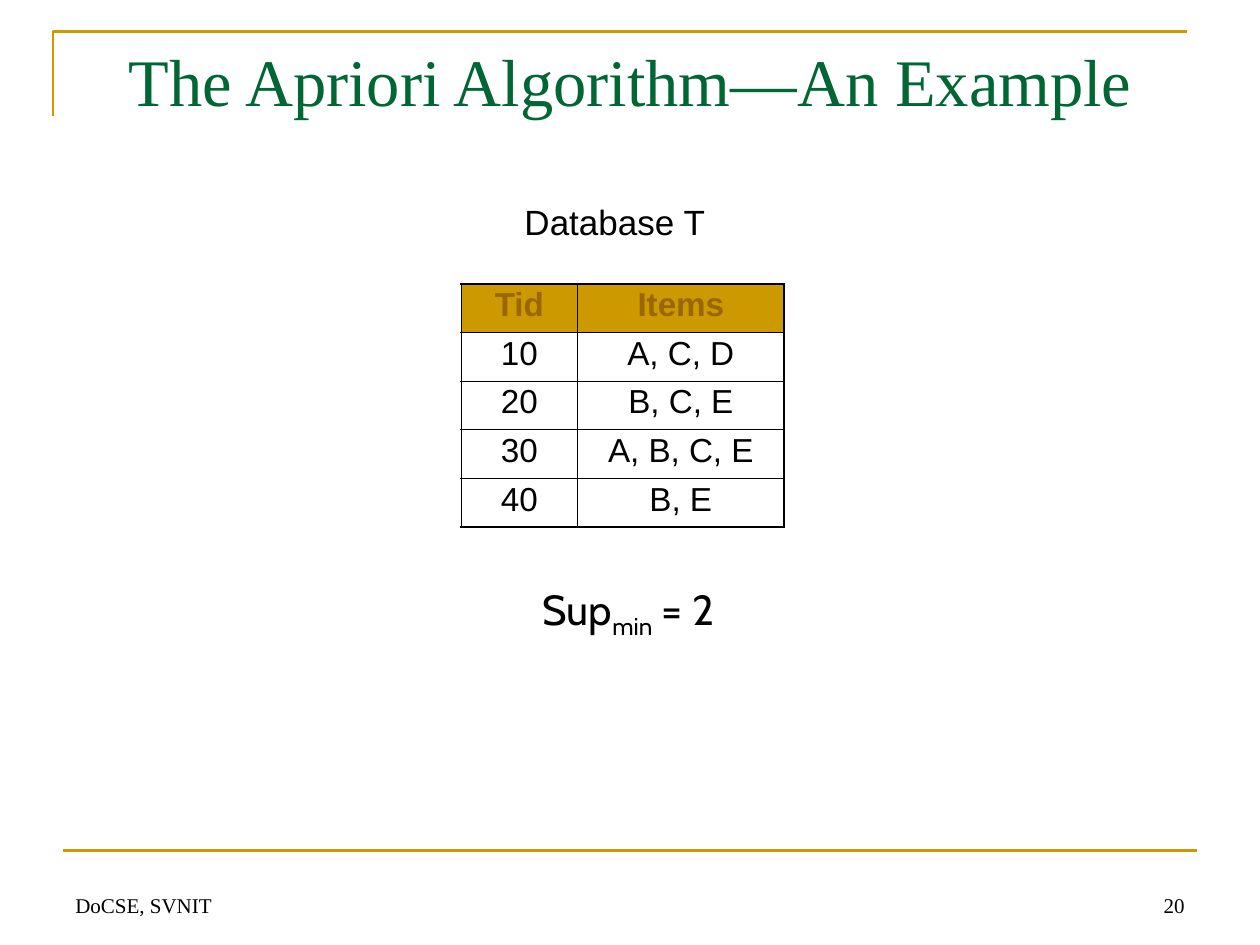
"""Builds the slide that introduces the Apriori algorithm example."""
from lxml import etree
from pptx import Presentation
from pptx import util as u
from pptx.dml.color import RGBColor
from pptx.enum import shapes, text
from pptx.oxml.ns import qn

GOLD = RGBColor(0xCC, 0x99, 0x00)
BROWN = RGBColor(0x99, 0x66, 0x00)
GREEN = RGBColor(0x00, 0x66, 0x33)
BLACK = RGBColor(0x00, 0x00, 0x00)

LEFT, CENTER, RIGHT = text.PP_ALIGN.LEFT, text.PP_ALIGN.CENTER, text.PP_ALIGN.RIGHT
TOP, MIDDLE, BOTTOM = text.MSO_ANCHOR.TOP, text.MSO_ANCHOR.MIDDLE, text.MSO_ANCHOR.BOTTOM
SERIF = "Times New Roman"

TITLE = "The Apriori Algorithm—An Example"
TITLE_PLACE = (2.34, 0.84, 21.64, 1.7)
LABELS = [
    {"place": (1.27, 17.35, 15.44, 1.27), "runs": [("DoCSE, SVNIT", 0)],
     "font": {"name": SERIF, "size": u.Pt(12)}, "frame": {"vertical_anchor": BOTTOM}},
    {"place": (18.21, 17.35, 5.92, 1.27), "runs": [("20", 0)],
     "font": {"name": SERIF, "size": u.Pt(12)}, "frame": {"vertical_anchor": BOTTOM},
     "para": {"alignment": RIGHT}},
    {"place": (10.31, 3.91, 4.17, 1.12), "runs": [("Database T", 0)],
     "font": {"name": "Arial", "size": u.Pt(20)},
     "frame": {"vertical_anchor": MIDDLE, "word_wrap": False},
     "para": {"alignment": CENTER}},
    {"place": (10.69, 11.63, 4.88, 1.42), "runs": [("Sup", 0), ("min", -25000), (" = 2", 0)],
     "font": {"name": "Cabin", "size": u.Pt(24)}, "frame": {"vertical_anchor": TOP},
     "para": {"space_before": u.Pt(15)}},
]
TRANSACTIONS = [
    ("Tid", "Items"),
    ("10", "A, C, D"),
    ("20", "B, C, E"),
    ("30", "A, B, C, E"),
    ("40", "B, E"),
]
TABLE_CORNER = (9.3, 5.72)
COLUMN_WIDTHS = (2.34, 4.17)
ROW_HEIGHT = 0.98
THICK, THIN = u.Pt(1.08), u.Pt(0.45)
FRAME_CORNERS = [(1.07, 2.34), (1.07, 0.64), (23.93, 0.64)]
FOOTER_LINE = (1.27, 17.15, 24.13, 17.15)


def cm(values):
    return [u.Cm(value) for value in values]


def apply(target, values):
    for name, value in values.items():
        setattr(target, name, value)


def style_font(font, color, values):
    apply(font, values)
    font.color.rgb = color


def style_line(line):
    line.color.rgb = GOLD
    line.width = u.Pt(1.5)


def draw_rules(page):
    corners = [tuple(cm(corner)) for corner in FRAME_CORNERS]
    builder = page.shapes.build_freeform(*corners[0])
    builder.add_line_segments(corners[1:], close=False)
    corner_rule = builder.convert_to_shape()
    corner_rule.fill.background()
    corner_rule.shadow.inherit = False
    style_line(corner_rule.line)
    footer_rule = page.shapes.add_connector(shapes.MSO_CONNECTOR.STRAIGHT, *cm(FOOTER_LINE))
    style_line(footer_rule.line)
    etree.SubElement(footer_rule._element.spPr, qn("a:effectLst"))


def write_title(page):
    title = page.shapes.title
    apply(title, dict(zip(("left", "top", "width", "height"), cm(TITLE_PLACE))))
    frame = title.text_frame
    frame.text = TITLE
    apply(frame, {"vertical_anchor": BOTTOM, "word_wrap": True,
                  "auto_size": text.MSO_AUTO_SIZE.NONE})
    para = frame.paragraphs[0]
    para.alignment = LEFT
    style_font(para.runs[0].font, GREEN, {"name": SERIF, "size": u.Pt(38)})


def write_label(page, label):
    box = page.shapes.add_textbox(*cm(label["place"]))
    apply(box.text_frame, {"word_wrap": True, **label["frame"]})
    para = box.text_frame.paragraphs[0]
    apply(para, label.get("para", {}))
    for words, baseline in label["runs"]:
        span = para.add_run()
        span.text = words
        style_font(span.font, BLACK, label["font"])
        if baseline:
            span._r.get_or_add_rPr().set("baseline", str(baseline))


def set_borders(cell, top, bottom):
    properties = cell._tc.get_or_add_tcPr()
    for side, width in (("L", THICK), ("R", THICK), ("T", top), ("B", bottom)):
        line = etree.SubElement(properties, qn(f"a:ln{side}"), w=str(int(width)))
        fill = etree.SubElement(line, qn("a:solidFill"))
        etree.SubElement(fill, qn("a:srgbClr"), val=str(BLACK))


def draw_table(page):
    count = len(TRANSACTIONS)
    size = (sum(COLUMN_WIDTHS), ROW_HEIGHT * count)
    table = page.shapes.add_table(count, len(COLUMN_WIDTHS), *cm(TABLE_CORNER + size)).table
    apply(table, {"first_row": False, "horz_banding": False})
    for column, width in zip(table.columns, COLUMN_WIDTHS):
        column.width = u.Cm(width)
    for index, values in enumerate(TRANSACTIONS):
        header = index == 0
        top = THICK if index <= 1 else THIN
        bottom = THICK if header or index == count - 1 else THIN
        table.rows[index].height = u.Cm(ROW_HEIGHT)
        for cell, value in zip(table.rows[index].cells, values):
            set_borders(cell, top, bottom)
            if header:
                cell.fill.solid()
                cell.fill.fore_color.rgb = GOLD
            else:
                cell.fill.background()
            cell.text = value
            para = cell.text_frame.paragraphs[0]
            apply(para, {"alignment": CENTER, "line_spacing": 0.9, "space_before": u.Pt(4.8)})
            style_font(para.runs[0].font, BROWN if header else BLACK,
                       {"name": "Arial", "size": u.Pt(19), "bold": header})


def main():
    deck = Presentation()
    apply(deck, {"slide_width": u.Cm(25.4), "slide_height": u.Cm(19.05)})
    page = deck.slides.add_slide(deck.slide_layouts[5])
    draw_rules(page)
    write_title(page)
    draw_table(page)
    for label in LABELS:
        write_label(page, label)
    deck.save("out.pptx")


if __name__ == "__main__":
    main()
